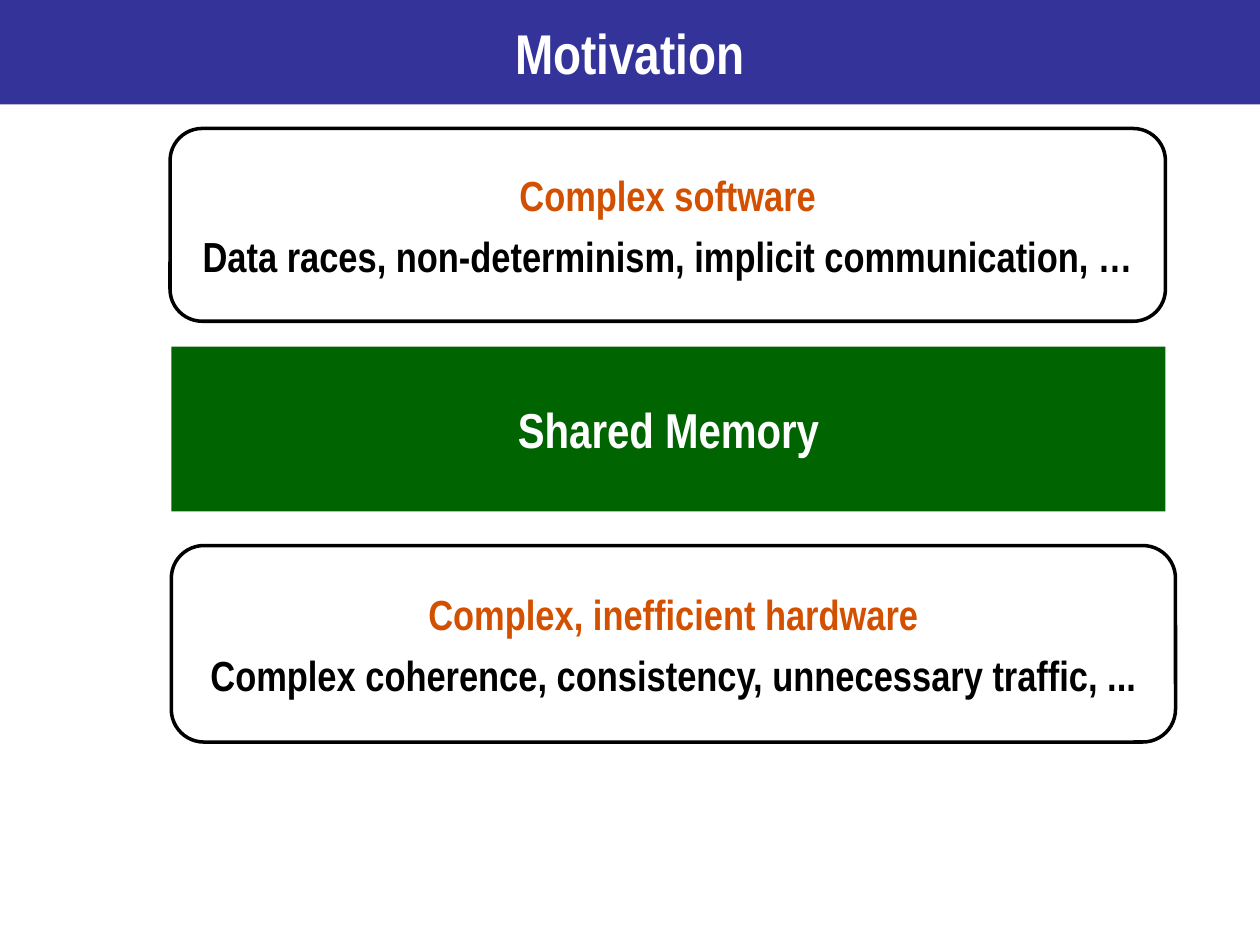
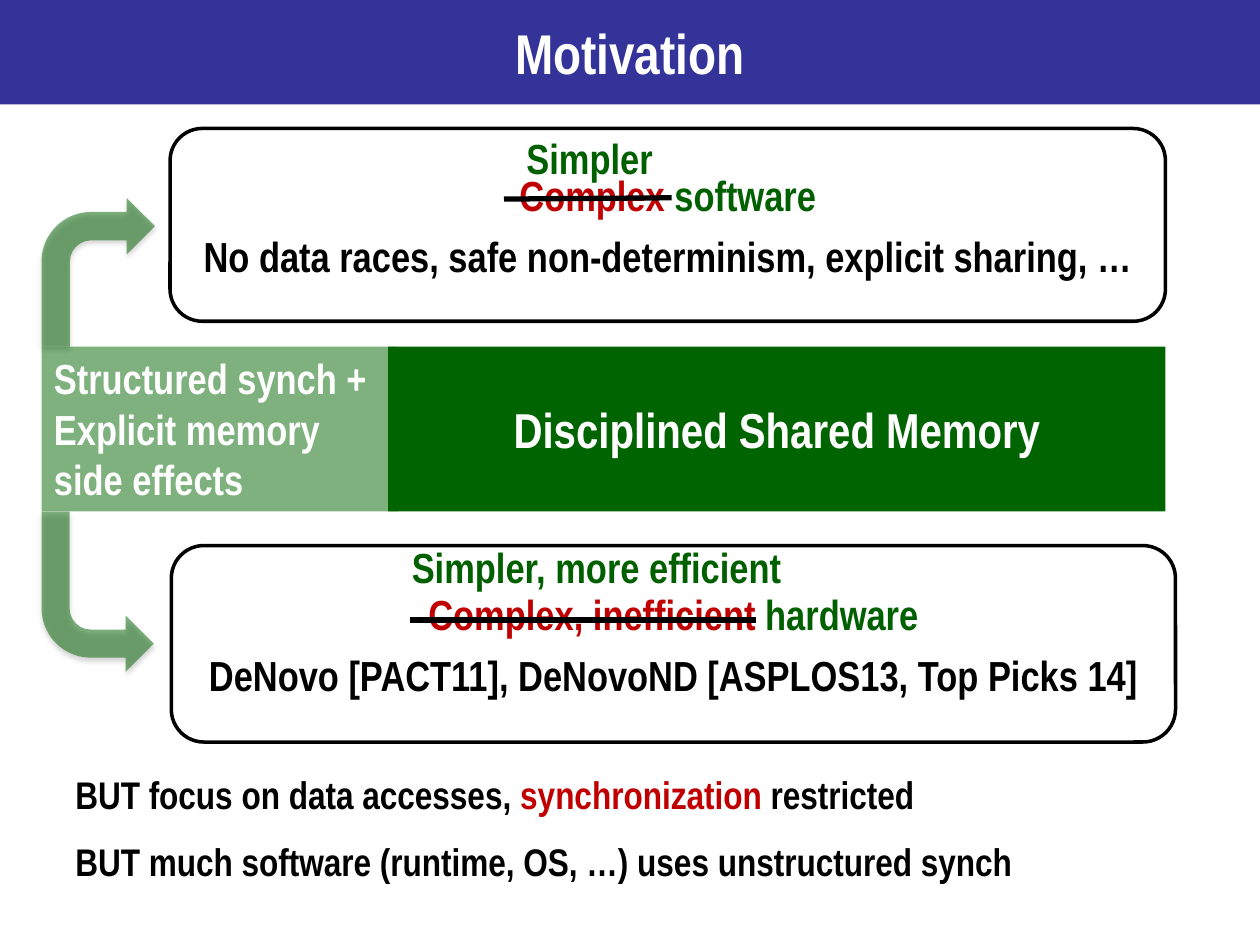
from lxml.etree import SubElement
from pptx import Presentation
from pptx.dml.color import RGBColor
from pptx.enum.shapes import MSO_CONNECTOR as Connector, MSO_SHAPE as Shape
from pptx.enum.text import MSO_ANCHOR as Anchor, PP_ALIGN as Align
from pptx.oxml.ns import qn
from pptx.util import Emu, Pt

PX = 9144  # 100 px to the inch
FONT = "Arial Narrow"
COLORS = {
    "band": "333399",
    "white": "FFFFFF",
    "black": "000000",
    "memory": "006400",
    "simpler": "006000",
    "problem": "D25000",
    "struck": "C00000",
}
SOFTWARE_BOX = (135, 102, 790, 153)
HARDWARE_BOX = (136, 433, 797, 156)
MEMORY_TOP, MEMORY_HEIGHT = 275, 131


def px(*lengths):
    return [Emu(length * PX) for length in lengths]


def rgb(name):
    return RGBColor.from_string(COLORS[name])


def write(shape, paragraphs, size, align=Align.CENTER, anchor=Anchor.MIDDLE,
          wrap=True, spacing=()):
    """Fill a shape with paragraphs, each a list of (text, colour name) runs."""
    frame = shape.text_frame
    frame.word_wrap = wrap
    frame.vertical_anchor = anchor
    for index, spans in enumerate(paragraphs):
        para = frame.add_paragraph() if index else frame.paragraphs[0]
        para.alignment = align
        if spacing:
            para.space_before = Pt(spacing[index])
        for text, color in spans:
            span = para.add_run()
            span.text = text
            span.font.name = FONT
            span.font.size = Pt(size)
            span.font.bold = True
            span.font.color.rgb = rgb(color)


def add_block(page, kind, at, fill, outline=None, alpha=None):
    block = page.shapes.add_shape(kind, *px(*at))
    block.shadow.inherit = False
    block.fill.solid()
    block.fill.fore_color.rgb = rgb(fill)
    if alpha:
        color = block.element.spPr.find(f"{qn('a:solidFill')}/{qn('a:srgbClr')}")
        SubElement(color, qn("a:alpha"), val=str(alpha * 1000))
    if outline:
        block.line.color.rgb = rgb(outline)
        block.line.width = Pt(2)
    else:
        block.line.fill.background()
    return block


def add_panel(page, at, heading, detail, side_inset=10):
    panel = add_block(page, Shape.ROUNDED_RECTANGLE, at, "white", "black")
    frame = panel.text_frame
    frame.margin_left = frame.margin_right = Emu(side_inset * PX)
    write(panel, [heading, [(detail, "black")]], 24, spacing=(6, 6))


def add_memory_bar(page, left, width, text):
    at = (left, MEMORY_TOP, width, MEMORY_HEIGHT)
    write(add_block(page, Shape.RECTANGLE, at, "memory"), [[(text, "white")]], 28)


def add_text(page, at, paragraphs, size, wrap=False, spacing=()):
    box = page.shapes.add_textbox(*px(*at))
    write(box, paragraphs, size, Align.LEFT, Anchor.TOP, wrap, spacing)


def add_strike(page, *ends):
    strike = page.shapes.add_connector(Connector.STRAIGHT, *px(*ends))
    strike.line.color.rgb = rgb("black")
    strike.line.width = Pt(3)
    SubElement(strike.element.spPr, qn("a:effectLst"))


def add_bent_arrow(page, at, downward=False):
    """Translucent bent arrow with a soft shadow, pointing right."""
    arrow = add_block(page, Shape.BENT_ARROW, at, "memory", alpha=50)
    effects = arrow.element.spPr.find(qn("a:effectLst"))
    shadow = SubElement(effects, qn("a:outerShdw"), blurRad="40000",
                        dist="23000", dir="5400000", rotWithShape="0")
    color = SubElement(shadow, qn("a:srgbClr"), val=COLORS["black"])
    SubElement(color, qn("a:alpha"), val="35000")
    if downward:
        arrow.rotation = 180
        arrow.element.spPr.find(qn("a:xfrm")).set("flipH", "1")


def add_page(deck, title):
    page = deck.slides.add_slide(deck.slide_layouts[6])
    band = add_block(page, Shape.RECTANGLE, (0, 0, 1000, 83), "band")
    write(band, [[(title, "white")]], 32)
    return page


def build_problem(deck):
    page = add_page(deck, "Motivation")
    add_memory_bar(page, 136, 789, "Shared Memory")
    add_panel(page, SOFTWARE_BOX, [("Complex software", "problem")],
              "Data races, non-determinism, implicit communication, …", 0)
    add_panel(page, HARDWARE_BOX, [("Complex, inefficient hardware", "problem")],
              "Complex coherence, consistency, unnecessary traffic, ...")


def build_solution(deck):
    page = add_page(deck, "Motivation")
    add_panel(page, SOFTWARE_BOX,
              [("Complex ", "struck"), ("software", "simpler")],
              "No data races, safe non-determinism, explicit sharing, …", 0)
    add_panel(page, HARDWARE_BOX,
              [("Complex, inefficient ", "struck"), ("hardware", "simpler")],
              "DeNovo [PACT11], DeNovoND [ASPLOS13, Top Picks 14]")
    add_strike(page, 400, 158, 533, 157)
    add_bent_arrow(page, (33, 157, 90, 118))
    add_text(page, (408, 100, 122, 50), [[("Simpler", "simpler")]], 24)
    add_strike(page, 325, 492, 600, 492)
    add_text(page, (317, 425, 317, 50),
             [[("Simpler, more efficient", "simpler")]], 24)

    add_memory_bar(page, 308, 617, "Disciplined Shared Memory")
    discipline = add_block(page, Shape.RECTANGLE,
                           (33, MEMORY_TOP, 283, MEMORY_HEIGHT), "memory", alpha=50)
    write(discipline, [[("Structured synch +", "white")],
                       [("Explicit memory side effects", "white")]],
          24, Align.LEFT, Anchor.TOP)
    add_bent_arrow(page, (33, MEMORY_TOP + MEMORY_HEIGHT, 89, 127), downward=True)

    add_text(page, (50, 607, 900, 101), [
        [("BUT focus on data accesses, ", "black"),
         ("synchronization ", "struck"), ("restricted", "black")],
        [("BUT much software (runtime, OS, …) uses unstructured synch", "black")],
    ], 22, wrap=True, spacing=(8, 12))


def main():
    deck = Presentation()
    deck.slide_width, deck.slide_height = px(1000, 750)
    build_problem(deck)
    build_solution(deck)
    deck.save("out.pptx")


if __name__ == "__main__":
    main()
